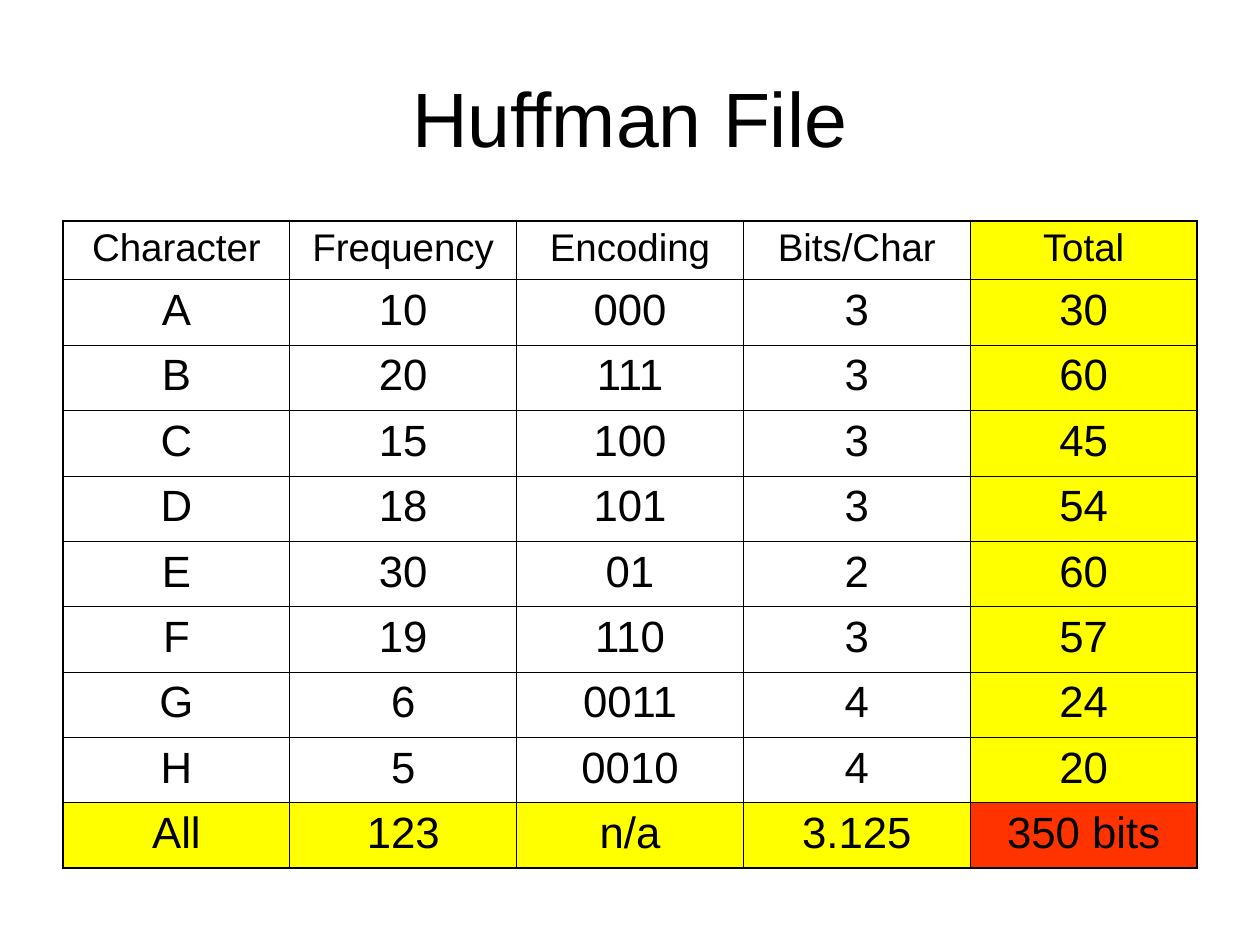
from lxml.etree import SubElement
from pptx import Presentation
from pptx.dml.color import RGBColor as RGB
from pptx.enum.text import MSO_ANCHOR as ANCHOR, PP_ALIGN as ALIGN
from pptx.oxml.ns import qn
from pptx.util import Cm, Pt

COLORS = {"ink": "000000", "sum": "FFFF00", "grand": "FF3300"}
LINES = {"outer": Pt(1.08), "inner": Pt(0.45)}
HEADER = ["Character", "Frequency", "Encoding", "Bits/Char", "Total"]
CODES = [
    ("A", 10, "000", 3, 30),
    ("B", 20, "111", 3, 60),
    ("C", 15, "100", 3, 45),
    ("D", 18, "101", 3, 54),
    ("E", 30, "01", 2, 60),
    ("F", 19, "110", 3, 57),
    ("G", 6, "0011", 4, 24),
    ("H", 5, "0010", 4, 20),
]
SUMMARY = ["All", 123, "n/a", "3.125", "350 bits"]


def write_text(tf, text, size, before=0):
    """Write one centred paragraph into a text frame."""
    p = tf.paragraphs[0]
    p.alignment, p.space_before = ALIGN.CENTER, Pt(before)
    r = p.add_run()
    r.text = str(text)
    for name, value in {"name": "Arial", "size": Pt(size), "bold": False}.items():
        setattr(r.font, name, value)
    r.font.color.rgb = RGB.from_string(COLORS["ink"])


def add_title(s, text, left, top, width, height):
    """Place the centred slide title in its box."""
    tf = s.shapes.add_textbox(left, top, width, height).text_frame
    for name, value in {"word_wrap": True, "vertical_anchor": ANCHOR.MIDDLE}.items():
        setattr(tf, name, value)
    write_text(tf, text, 44)


def set_borders(cell, outer):
    """Draw the four cell edges, heavier where they lie on the table's outline."""
    tc_pr = cell._tc.get_or_add_tcPr()
    for side in "LRTB":
        width = LINES["outer" if outer[side] else "inner"]
        ln = SubElement(tc_pr, qn(f"a:ln{side}"), w=str(width))
        SubElement(SubElement(ln, qn("a:solidFill")), qn("a:srgbClr"), val=COLORS["ink"])


def set_fill(cell, color):
    """Fill a cell with a named colour, or leave it clear."""
    if color is None:
        cell.fill.background()
    else:
        cell.fill.solid()
        cell.fill.fore_color.rgb = RGB.from_string(COLORS[color])


def add_code_table(s, rows, left, top, width, height, header_height):
    """Place the code table with its total column and summary row."""
    n_rows, n_cols = len(rows), len(rows[0])
    table = s.shapes.add_table(n_rows, n_cols, left, top, width, height).table
    for name in ("first_row", "horz_banding"):
        setattr(table, name, False)
    for col in table.columns:
        col.width = int(width / n_cols)
    for i, values in enumerate(rows):
        head, last = i == 0, i == n_rows - 1
        body_height = (height - header_height) / (n_rows - 1)
        table.rows[i].height = int(header_height if head else body_height)
        for j, value in enumerate(values):
            cell, total = table.cell(i, j), j == n_cols - 1
            write_text(cell.text_frame, value, *((22, 5.5) if head else (25, 6.2)))
            set_borders(cell, {"L": j == 0, "R": total, "T": head, "B": last})
            set_fill(cell, "grand" if last and total else "sum" if last or total else None)


def main():
    """Build and save the slide."""
    prs = Presentation()
    prs.slide_width, prs.slide_height = Cm(25.4), Cm(19.05)
    s = prs.slides.add_slide(prs.slide_layouts[6])
    left, width = Cm(1.27), Cm(22.86)
    add_title(s, "Huffman File", left, Cm(0.76), width, Cm(3.18))
    add_code_table(s, [HEADER, *CODES, SUMMARY], left, Cm(4.45), width, Cm(13.06), Cm(1.19))
    prs.save("out.pptx")


if __name__ == "__main__":
    main()
